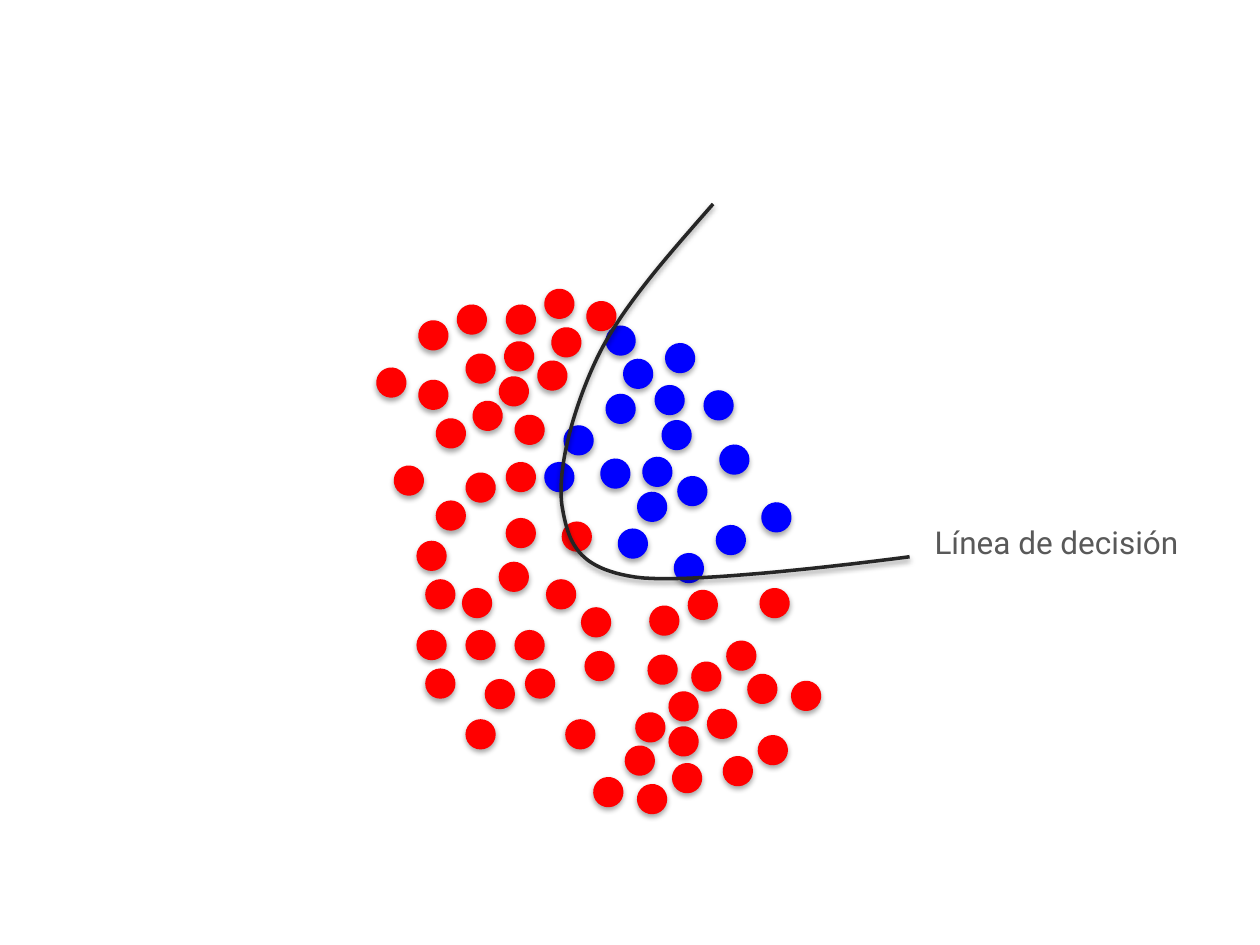
"""Build a slide with two classes of points separated by a decision curve."""
import pptx
import pptx.dml.color
import pptx.enum.shapes
import pptx.enum.text
import pptx.oxml
import pptx.oxml.ns
import pptx.util

Pt = pptx.util.Pt
RED, BLUE, INK, GRAY = "FF0000", "0000FF", "262626", "595959"
DOT = 17.28
STEPS = 24


def rgb(value):
    return pptx.dml.color.RGBColor.from_string(value)


def add_shadow(sp, blur, dist, alpha):
    sp.shadow.inherit = False
    effects = sp._element.spPr.find(pptx.oxml.ns.qn("a:effectLst"))
    effects.append(pptx.oxml.parse_xml(
        f'<a:outerShdw {pptx.oxml.ns.nsdecls("a")} blurRad="{Pt(blur)}" dist="{Pt(dist)}" '
        f'dir="5400000" rotWithShape="0"><a:srgbClr val="000000">'
        f'<a:alpha val="{alpha * 1000}"/></a:srgbClr></a:outerShdw>'))


clusters = [
    (RED, 0, [
        (249, 286), (243, 331), (238, 309), (264, 336), (266, 360), (321, 298),
        (312, 331), (300, 382), (294, 360), (332, 347), (323, 411), (334, 372),
        (289, 296), (243, 382), (238, 360), (285, 321), (266, 411), (277, 388)]),
    (BLUE, 42.6, [
        (380, 196), (346, 225), (356, 205), (402, 223), (343, 262), (378, 240),
        (387, 272), (353, 302), (364, 281), (409, 300), (411, 254), (385, 316),
        (374, 220), (311, 264), (322, 243), (367, 261), (435, 287), (346, 186)]),
    (RED, 80.1, [
        (335, 172), (289, 174), (311, 165), (288, 195), (266, 202), (307, 206),
        (294, 237), (249, 239), (270, 229), (289, 264), (225, 266), (266, 270),
        (315, 187), (239, 183), (261, 174), (285, 215), (215, 210), (239, 217)]),
    (RED, 251.7, [
        (339, 444), (384, 436), (364, 448), (382, 415), (404, 405), (363, 407),
        (370, 374), (415, 366), (395, 378), (371, 346), (434, 336), (393, 337),
        (357, 426), (433, 420), (413, 432), (382, 395), (452, 389), (427, 385)]),
]
curve = [
    (407.5, 116.6), (382.3, 145.4), (357.1, 173.5), (342.7, 201.6),
    (328.3, 230.4), (318.2, 267.1), (321.1, 288.7),
    (324.7, 310.3), (329.8, 324.7), (362.9, 329.8),
    (396, 334.8), (519.8, 318.2), (519.8, 318.2)]

prs = pptx.Presentation()
prs.slide_width, prs.slide_height = Pt(720), Pt(540)
s = prs.slides.add_slide(prs.slide_layouts[6])

for color, angle, dots in clusters:
    group = s.shapes.add_group_shape()
    for x, y in dots:
        sp = group.shapes.add_shape(
            pptx.enum.shapes.MSO_SHAPE.OVAL, Pt(x), Pt(y), Pt(DOT), Pt(DOT))
        sp.rotation = angle
        sp.fill.solid()
        sp.fill.fore_color.rgb = rgb(color)
        sp.line.fill.background()
        add_shadow(sp, 3.1, 1.8, 35)

points = []
for start in range(0, len(curve) - 1, 3):
    controls = curve[start:start + 4]
    for step in range(1, STEPS + 1):
        t = step / STEPS
        weights = ((1 - t) ** 3, 3 * t * (1 - t) ** 2, 3 * t ** 2 * (1 - t), t ** 3)
        points.append(tuple(
            Pt(sum(w * c[axis] for w, c in zip(weights, controls))) for axis in (0, 1)))
builder = s.shapes.build_freeform(Pt(curve[0][0]), Pt(curve[0][1]))
builder.add_line_segments(points, close=False)
sp = builder.convert_to_shape()
sp.fill.background()
sp.line.color.rgb = rgb(INK)
sp.line.width = Pt(2)
add_shadow(sp, 3.1, 1.6, 38)

sp = s.shapes.add_textbox(Pt(527), Pt(295.2), Pt(155.5), Pt(51))
tf = sp.text_frame
tf.word_wrap = False
tf.auto_size = pptx.enum.text.MSO_AUTO_SIZE.NONE
p = tf.paragraphs[0]
p.text = "Línea de decisión"
p.font.name = "Roboto"
p.font.size = Pt(18)
p.font.color.rgb = rgb(GRAY)

prs.save("out.pptx")
